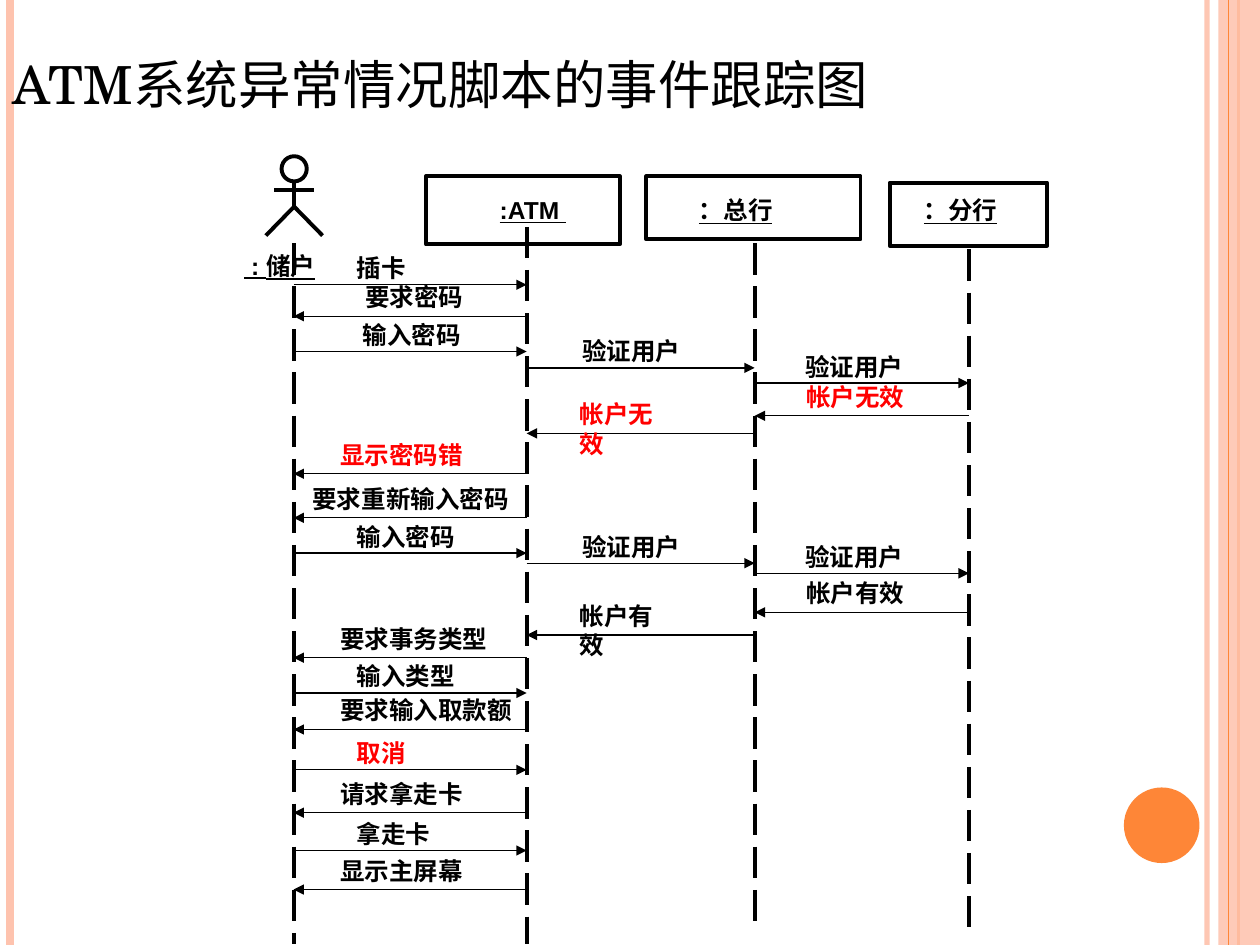
from typing import NamedTuple, Optional

from lxml.etree import SubElement
from pptx import Presentation
from pptx.dml.color import RGBColor
from pptx.enum.dml import MSO_LINE
from pptx.enum.shapes import MSO_CONNECTOR, MSO_SHAPE
from pptx.enum.text import MSO_ANCHOR, PP_ALIGN
from pptx.oxml.ns import qn
from pptx.util import Inches, Pt

INK = {"black": "000000", "red": "FF0000", "peach": "FEC3AE", "orange": "FE8637"}
WIDE, HIGH = 10, 7.5
BOLD = 2.25   # line width of figure, boxes and lifelines, in points
CHAR = 0.2    # width of one label character, in inches
ROW = 0.23    # height of one label row
NAME_Y = 1.55  # the names of the boxed objects share one row

# The lanes from left to right, and the x of each lifeline
USER, ATM, BANK, BRANCH = range(4)
LANE = [2.33, 4.18, 5.99, 7.69]
SPAN = [(1.93, 7.49), (1.8, 7.49), (1.93, 7.39), (1.98, 7.39)]

# Distance from the left lifeline of a call to its label
INDENT = {USER: 0.5, ATM: 0.44, BANK: 0.4}
REPLY_INDENT = {USER: 0.37, ATM: 0.42, BANK: 0.41}
RISE, REPLY_RISE = 0.25, 0.27  # distance from the label's top to its arrow


class Part(NamedTuple):
    """A boxed object; shift moves its name off the middle of the box."""
    name: str
    x: float
    y: float
    w: float
    h: float
    shift: float


class Call(NamedTuple):
    """A message between two lanes; indent overrides the usual label indent."""
    text: str
    start: int
    end: int
    y: float
    color: str = "black"
    indent: Optional[float] = None
    width: float = 0.75


PARTS = [
    Part(":ATM ", 3.38, 1.4, 1.54, 0.54, 0.08),
    Part("：总行", 5.13, 1.4, 1.7, 0.5, -0.14),
    Part("：分行", 7.06, 1.45, 1.25, 0.5, -0.06),
]
CALLS = [
    Call("插卡", USER, ATM, 2.26, width=0.5),
    Call("要求密码", ATM, USER, 2.51, indent=0.57, width=0.5),
    Call("输入密码", USER, ATM, 2.79, indent=0.55),
    Call("验证用户", ATM, BANK, 2.92),
    Call("验证用户", BANK, BRANCH, 3.04),
    Call("帐户无效", BRANCH, BANK, 3.3, "red"),
    Call("帐户无效", BANK, ATM, 3.44, "red"),
    Call("显示密码错", ATM, USER, 3.76, "red"),
    Call("要求重新输入密码", ATM, USER, 4.11, indent=0.15),
    Call("输入密码", USER, ATM, 4.39),
    Call("验证用户", ATM, BANK, 4.47),
    Call("验证用户", BANK, BRANCH, 4.55),
    Call("帐户有效", BRANCH, BANK, 4.86),
    Call("帐户有效", BANK, ATM, 5.04),
    Call("要求事务类型", ATM, USER, 5.22),
    Call("输入类型", USER, ATM, 5.5),
    Call("要求输入取款额", ATM, USER, 5.79),
    Call("取消", USER, ATM, 6.11, "red"),
    Call("请求拿走卡", ATM, USER, 6.45),
    Call("拿走卡", USER, ATM, 6.75),
    Call("显示主屏幕", ATM, USER, 7.06),
]


def rgb(name):
    return RGBColor.from_string(INK[name])


def fade(fill, share):
    """Make a solid fill see-through; share is its opacity in percent."""
    color = fill._xPr.find(qn("a:solidFill"))[0]
    SubElement(color, qn("a:alpha"), val=str(share * 1000))


def line(slide, x1, y1, x2, y2, width, color="black"):
    link = slide.shapes.add_connector(
        MSO_CONNECTOR.STRAIGHT, Inches(x1), Inches(y1), Inches(x2), Inches(y2))
    link.line.color.rgb = rgb(color)
    link.line.width = Pt(width)
    SubElement(link._element.spPr, qn("a:effectLst"))
    return link


def shape(slide, kind, x, y, w, h):
    return slide.shapes.add_shape(kind, Inches(x), Inches(y), Inches(w), Inches(h))


def outline(item):
    item.shadow.inherit = False
    item.fill.background()
    item.line.color.rgb = rgb("black")
    item.line.width = Pt(BOLD)


def paint(item, color):
    item.shadow.inherit = False
    item.fill.solid()
    item.fill.fore_color.rgb = rgb(color)
    item.line.fill.background()


def write(slide, text, x, y, w, h, face, size, color="black", wrap=True):
    """Add a text box and return its frame and paragraph."""
    box = slide.shapes.add_textbox(Inches(x), Inches(y), Inches(w), Inches(h))
    box.text_frame.word_wrap = wrap
    para = box.text_frame.paragraphs[0]
    para.text = text
    para.font.name, para.font.size = face, Pt(size)
    para.font.color.rgb = rgb(color)
    return box.text_frame, para


def label(slide, text, x, y, w, h=ROW, color="black", wrap=False):
    frame, para = write(slide, text, x, y, w, h, "Arial", 14, color, wrap)
    frame.margin_left = frame.margin_right = 0
    frame.margin_top = frame.margin_bottom = 0
    para.font.bold = True
    return para


def border(slide, w, h):
    """Stripes down both edges and the disc near the lower right corner."""
    def stripe(x, width, color):
        return line(slide, x, 0, x, h, width, color)

    fade(stripe(w - 0.42, 3, "peach").line.fill, 92)
    stripe(0.08, 4.5, "peach")
    stripe(w - 0.17, 1.5, "orange")
    band = shape(slide, MSO_SHAPE.RECTANGLE, w - 0.33, 0, 0.33, h)
    paint(band, "peach")
    fade(band.fill, 87)
    stripe(w - 0.25, 0.75, "orange")
    paint(shape(slide, MSO_SHAPE.OVAL, w - 1.08, h - 1.25, 0.6, 0.6), "orange")


def title(slide, text, x, y, w, h):
    frame, _ = write(slide, text, x, y, w, h, "TeX Gyre Schola", 30)
    frame.vertical_anchor = MSO_ANCHOR.BOTTOM


def actor(slide, name, x, y, w, h):
    """Stick figure filling the box, with its name below."""
    mid, head, arm = x + w / 2, 0.2, 0.16
    neck, hip, foot = y + head, y + 2 * head, y + h
    outline(shape(slide, MSO_SHAPE.OVAL, mid - head / 2, y, head, head))
    line(slide, mid, neck, mid, hip, BOLD)
    line(slide, mid - arm, neck + 0.07, mid + arm, neck + 0.07, BOLD)
    legs = slide.shapes.build_freeform(Inches(x), Inches(foot))
    legs.add_line_segments(
        [(Inches(mid), Inches(hip)), (Inches(x + w), Inches(foot))], close=False)
    outline(legs.convert_to_shape())
    label(slide, name, x - 0.17, foot + 0.12, 0.61).font.underline = True


def place(slide, part):
    """Draw a boxed object and its name."""
    outline(shape(slide, MSO_SHAPE.RECTANGLE, part.x, part.y, part.w, part.h))
    left = part.x + part.shift
    para = label(slide, part.name, left, NAME_Y, part.w, wrap=True)
    para.alignment = PP_ALIGN.CENTER
    para.font.underline = True


def send(slide, call):
    """Draw a call as an arrow between two lifelines, with its label above."""
    arrow = line(slide, LANE[call.start], call.y, LANE[call.end], call.y, call.width)
    SubElement(arrow.line._get_or_add_ln(), qn("a:tailEnd"), type="triangle")
    reply = call.end < call.start
    left = min(call.start, call.end)
    indent = call.indent or (REPLY_INDENT if reply else INDENT)[left]
    top = call.y - (REPLY_RISE if reply else RISE)
    split = reply and call.end == ATM  # these labels break after three characters
    chars, rows = (3.8, 2) if split else (len(call.text), 1)
    label(slide, call.text, LANE[left] + indent, top, CHAR * chars, ROW * rows,
          call.color, wrap=split)


def main():
    deck = Presentation()
    deck.slide_width, deck.slide_height = Inches(WIDE), Inches(HIGH)
    slide = deck.slides.add_slide(deck.slide_layouts[6])
    border(slide, WIDE, HIGH)
    title(slide, "ATM系统异常情况脚本的事件跟踪图", 0, 0.21, 9.67, 0.75)
    actor(slide, " : 储户", 2.11, 1.24, 0.45, 0.63)
    for part in PARTS:
        place(slide, part)
    for x, (top, bottom) in zip(LANE, SPAN):
        life = line(slide, x, top, x, bottom, BOLD)
        life.line.dash_style = MSO_LINE.LONG_DASH
    for call in CALLS:
        send(slide, call)
    deck.save("out.pptx")


if __name__ == "__main__":
    main()
